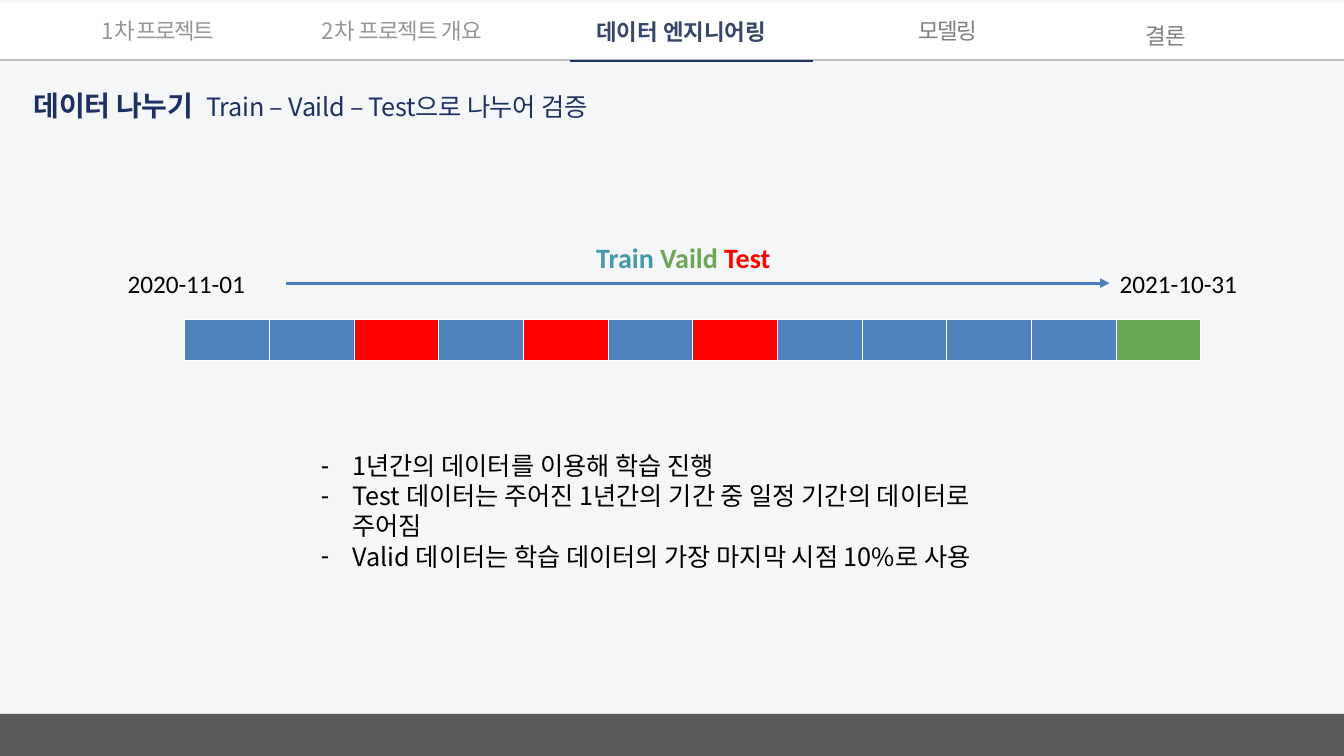
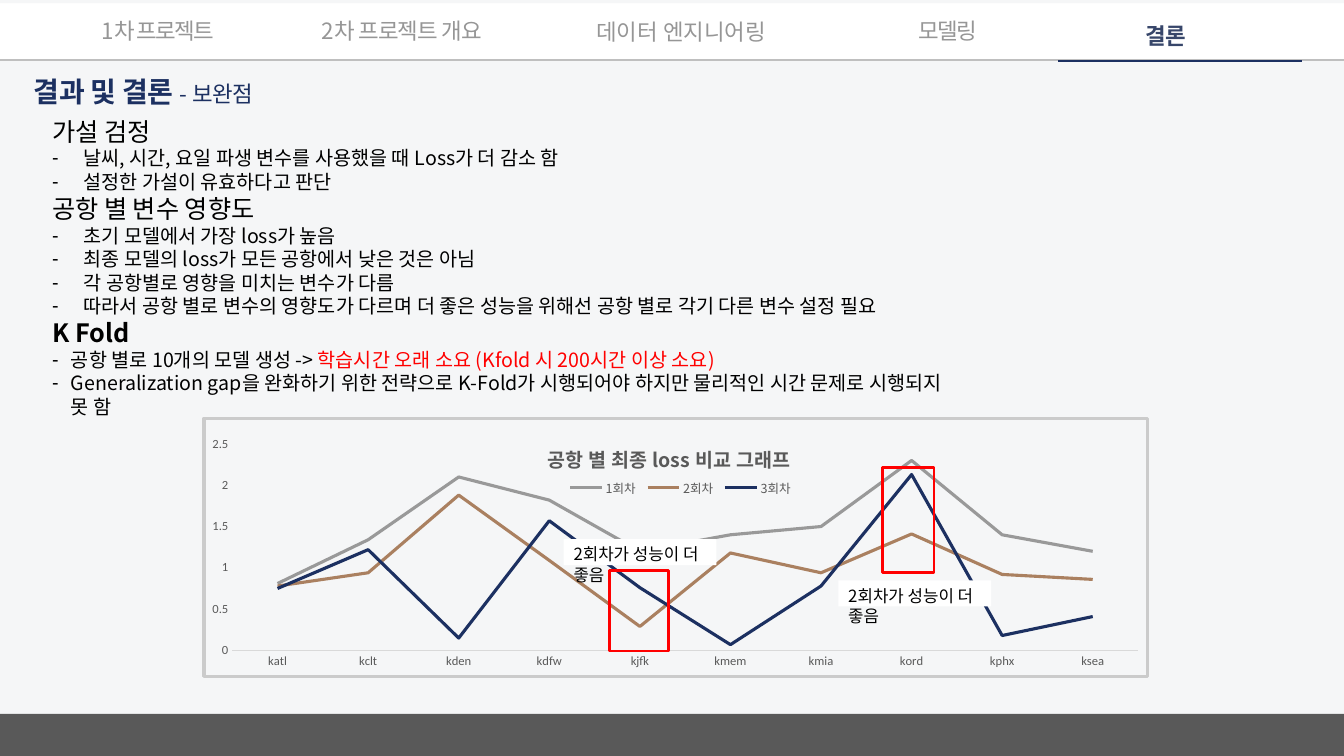
from dataclasses import dataclass

from lxml import etree
from pptx import Presentation
from pptx.chart.data import CategoryChartData
from pptx.dml.color import RGBColor
from pptx.enum.chart import XL_CHART_TYPE, XL_LEGEND_POSITION, XL_TICK_MARK
from pptx.enum.shapes import MSO_CONNECTOR, MSO_SHAPE
from pptx.enum.text import MSO_ANCHOR, MSO_AUTO_SIZE, PP_ALIGN
from pptx.oxml.ns import qn
from pptx.util import Inches, Pt

RECT = MSO_SHAPE.RECTANGLE
STRAIGHT = MSO_CONNECTOR.STRAIGHT
LINE = XL_CHART_TYPE.LINE
TOP = XL_LEGEND_POSITION.TOP
NO_TICK = XL_TICK_MARK.NONE
LEFT = PP_ALIGN.LEFT
UPPER = MSO_ANCHOR.TOP
FIXED = MSO_AUTO_SIZE.NONE

COLS, ROWS = 160, 90


@dataclass(frozen=True)
class Theme:
    sans: str = "Noto Sans CJK KR"
    latin: str = "Calibri"
    head: int = 20
    text: int = 18
    tab: int = 16
    item: int = 14
    note: int = 12
    tick: int = 9
    navy: str = "1C3061"
    active: str = "37466A"
    idle: str = "969696"
    later: str = "7F7F7F"
    pale: str = "F5F6F7"
    dark: str = "595959"
    rule: str = "BFBFBF"
    frame: str = "CBCBCB"
    axis: str = "D9D9D9"
    gray: str = "999999"
    brown: str = "AA8060"
    blue: str = "4F81BD"
    arrow: str = "4B7EBC"
    teal: str = "4597A9"
    green: str = "6CA755"
    red: str = "FF0000"
    white: str = "FFFFFF"
    black: str = "000000"


T = Theme()

# text, column, row, width, letter spacing
TABS = [
    ("1차 프로젝트", 12.1, 1.9, 15.2, -1.1),
    ("2차 프로젝트 개요", 38.3, 1.9, 21.7, -0.5),
    ("데이터 엔지니어링", 71, 2, 22.6, 0),
    ("모델링", 109.3, 1.9, 11.4, -0.8),
    ("결론", 136.4, 2.5, 11.4, -0.8),
]


@dataclass
class Para:
    """A paragraph; runs are (text, style) pairs, style holding what differs."""
    runs: list
    size: int = T.text
    color: str = T.black
    bold: bool = False
    name: str = T.sans
    spc: float = 0
    before: int = 0
    hang: float = 0


def rgb(code):
    return RGBColor.from_string(code)


def ink(font, size=None, color=None, bold=None, name=None, spc=None):
    if size:
        font.size = Pt(size)
    if color:
        font.color.rgb = rgb(color)
    if bold is not None:
        font.bold = bold
    if name:
        font.name = name
        etree.SubElement(font._rPr, qn("a:ea")).set("typeface", name)
    if spc:
        font._rPr.set("spc", str(round(spc * 100)))


def wide(cols):
    return Inches(cols / 12)


def write(frame, paras, flush=False):
    """Fill a text frame; flush drops its margins."""
    frame.word_wrap = True
    frame.auto_size = FIXED
    frame.vertical_anchor = UPPER
    if flush:
        frame.margin_left = frame.margin_right = frame.margin_bottom = 0
        frame.margin_top = Inches(0.01)
    for i, para in enumerate(paras):
        line = frame.add_paragraph() if i else frame.paragraphs[0]
        line.alignment = LEFT
        line.space_before = Pt(para.before)
        ink(line.font, para.size, para.color, para.bold, para.name, para.spc)
        props = line._p.get_or_add_pPr()
        props.set("marL", str(wide(para.hang)))
        props.set("indent", str(-wide(para.hang)))
        mark = etree.Element(qn("a:buChar" if para.hang else "a:buNone"))
        if para.hang:
            mark.set("char", "-")
        props.find(qn("a:defRPr")).addprevious(mark)
        for text, style in para.runs:
            run = line.add_run()
            run.text = text
            ink(run.font, **style)


def place(node, at, **spots):
    """Give a chart part a fixed layout as child number at."""
    for old in node.findall(qn("c:layout")):
        node.remove(old)
    layout = etree.Element(qn("c:layout"))
    manual = etree.SubElement(layout, qn("c:manualLayout"))
    for tag, val in spots.items():
        etree.SubElement(manual, qn("c:" + tag)).set("val", str(val))
    node.insert(at, layout)


class Deck:
    def __init__(self):
        self.prs = Presentation()
        self.prs.slide_width, self.prs.slide_height = Inches(13.33), Inches(7.5)
        self.layout = self.prs.slide_layouts[1]
        self.slide = None

    def area(self, x, y, w, h):
        across, down = self.prs.slide_width / COLS, self.prs.slide_height / ROWS
        return [round(v) for v in (x * across, y * down, w * across, h * down)]

    def bands(self):
        """Draw the shared bands and move them to the layout."""
        parts = [
            self.box(0, 0, COLS, 0.4, T.pale),
            self.box(0, 7.1, COLS, 77.9, T.pale),
            self.box(0, 85, COLS, 5, T.dark),
            self.box(0, 0.4, COLS, 6.7, T.white),
            self.line(0, 7.1, COLS, T.rule, 1.5),
        ]
        for i, part in enumerate(parts):
            part._element.xpath(".//p:cNvPr")[0].set("id", str(100 + i))
            self.layout.shapes._spTree.append(part._element)

    def page(self, tab, mark, row, title, body, spot):
        """Start a slide with the given active tab, its mark, title and body."""
        self.slide = self.prs.slides.add_slide(self.layout)
        if len(self.prs.slides) == 1:
            self.bands()
        head, main = self.slide.placeholders
        self.move(head, 4, row, 74.2, 4.2)
        write(head.text_frame,
              [Para(title, T.head, T.navy, None, spc=-0.2, before=1)], True)
        self.move(main, *spot)
        write(main.text_frame, body)
        self.line(mark, 7.25, 29, T.navy, 1.5)
        for i, (text, x, y, w, spc) in enumerate(TABS):
            color = T.active if i == tab else T.later if i > tab else T.idle
            para = Para([(text, {})], T.tab, color, i == tab, spc=spc, before=1)
            self.text(x, y, w, 3.4, para, True)

    def move(self, shape, *spot):
        shape.left, shape.top, shape.width, shape.height = self.area(*spot)

    def text(self, x, y, w, h, para, flush=False):
        box = self.slide.shapes.add_textbox(*self.area(x, y, w, h))
        write(box.text_frame, [para], flush)
        return box

    def box(self, x, y, w, h, fill=None, edge=None):
        box = self.slide.shapes.add_shape(RECT, *self.area(x, y, w, h))
        box.shadow.inherit = False
        if fill:
            box.fill.solid()
            box.fill.fore_color.rgb = rgb(fill)
        else:
            box.fill.background()
        if edge:
            box.line.color.rgb = rgb(edge)
            box.line.width = Pt(2)
        else:
            box.line.fill.background()
        return box

    def line(self, x, y, w, color, width):
        x, y, w, _ = self.area(x, y, w, 0)
        line = self.slide.shapes.add_connector(STRAIGHT, x, y, x + w, y)
        line.line.color.rgb = rgb(color)
        line.line.width = Pt(width)
        etree.SubElement(line._element.spPr, qn("a:effectLst"))
        return line

    def arrow(self, start, end):
        """Join the right side of start to the left side of end."""
        line = self.line(0, 0, 1, T.arrow, 2.25)
        line.begin_connect(start, 3)
        line.end_connect(end, 1)
        stroke = line._element.spPr.find(qn("a:ln"))
        etree.SubElement(stroke, qn("a:tailEnd")).set("type", "triangle")

    def strip(self, x, y, w, h, fills):
        """Draw a table of one row of coloured cells."""
        spot = self.area(x, y, w, h)
        table = self.slide.shapes.add_table(1, len(fills), *spot).table
        table.horz_banding = False
        for cell, fill in zip(table.iter_cells(), fills):
            cell.fill.solid()
            cell.fill.fore_color.rgb = rgb(fill)

    def chart(self, x, y, w, h, title, cats, rows):
        data = CategoryChartData()
        data.categories = cats
        for name, _, vals in rows:
            data.add_series(name, vals)
        spot = self.area(x, y, w, h)
        chart = self.slide.shapes.add_chart(LINE, *spot, data).chart
        ink(chart.font, 10, T.black, name=T.latin)
        plot = chart.plots[0]
        plot.vary_by_categories = False
        for series, (_, color, _) in zip(plot.series, rows):
            series.smooth = False
            series.format.line.color.rgb = rgb(color)
            series.format.line.width = Pt(2.25)
        for axis in (chart.category_axis, chart.value_axis):
            axis.major_tick_mark = axis.minor_tick_mark = NO_TICK
            axis.has_major_gridlines = False
            ink(axis.tick_labels.font, T.tick, T.dark, name=T.latin)
        chart.category_axis.format.line.color.rgb = rgb(T.axis)
        scale = chart.value_axis
        scale.minimum_scale, scale.maximum_scale = 0, 2.5
        scale.major_unit = 0.5
        scale.format.line.fill.background()
        head = chart.chart_title
        write(head.text_frame, [Para([(title, {})], T.item, T.dark, True)])
        place(head._element, 1, xMode="edge", yMode="edge", x=0.36, y=0.08)
        chart.has_legend = True
        legend = chart.legend
        legend.position = TOP
        legend.include_in_layout = False
        ink(legend.font, T.tick, T.dark, name=T.sans)
        place(legend._element, 1, xMode="edge", yMode="edge",
              x=0.38, y=0.23, w=0.25, h=0.08)
        root = chart._chartSpace
        place(root.chart.plotArea, 0, layoutTarget="inner", xMode="edge",
              yMode="edge", x=0.03, y=0.1, w=0.96, h=0.8)
        props = etree.Element(qn("c:spPr"))
        etree.SubElement(props, qn("a:noFill"))
        edge = etree.SubElement(props, qn("a:ln"), w=str(Pt(2.25)))
        fill = etree.SubElement(edge, qn("a:solidFill"))
        etree.SubElement(fill, qn("a:srgbClr"), val=T.frame)
        root.chart.addnext(props)


def item(text, size=T.item, hang=3.75):
    return Para([(text, {})], size, hang=hang)


def split(deck):
    title = [
        ("데이터 나누기", {"bold": True}),
        (" ", {"spc": 5}),
        ("Train – Vaild – Test으로 나누어 검증", {"size": T.text}),
    ]
    body = [item(text, T.text) for text in (
        "1년간의 데이터를 이용해 학습 진행",
        "Test 데이터는 주어진 1년간의 기간 중 일정 기간의 데이터로 주어짐",
        "Valid 데이터는 학습 데이터의 가장 마지막 시점 10%로 사용",
    )]
    deck.page(2, 67.8, 10.4, title, body, (37, 53, 86, 12.1))
    tests = (2, 4, 6)
    fills = [T.red if i in tests else T.blue for i in range(11)] + [T.green]
    deck.strip(22, 38, 121, 4.9, fills)
    start, end = [
        deck.text(x, 31.3, 20, 4.8, Para([(day, {})], name=T.latin))
        for x, day in ((14, "2020-11-01"), (132.1, "2021-10-31"))
    ]
    deck.arrow(start, end)
    key = [("Train ", {"color": T.teal}), ("Vaild ", {"color": T.green}),
           ("Test", {"color": T.red})]
    deck.text(69.8, 28, 25, 5.3, Para(key, T.head, bold=True, name=T.latin))


def close(deck):
    title = [("결과 및 결론 ", {"bold": True}), ("- 보완점", {"size": T.tab})]
    slow = [("공항 별로 10개의 모델 생성 -> ", {}),
            ("학습시간 오래 소요 (Kfold 시 200시간 이상 소요)", {"color": T.red})]
    body = [
        Para([("가설 검정", {})]),
        item("날씨, 시간, 요일 파생 변수를 사용했을 때 Loss가 더 감소 함"),
        item("설정한 가설이 유효하다고 판단"),
        Para([("공항 별 변수 영향도", {})]),
        item("초기 모델에서 가장 loss가 높음"),
        item("최종 모델의 loss가 모든 공항에서 낮은 것은 아님"),
        item("각 공항별로 영향을 미치는 변수가 다름"),
        item("따라서 공항 별로 변수의 영향도가 다르며 더 좋은 성능을 위해선 "
             "공항 별로 각기 다른 변수 설정 필요"),
        Para([("K Fold", {})], bold=True),
        Para(slow, T.item, hang=2.25),
        item("Generalization gap을 완화하기 위한 전략으로 K-Fold가 시행되어야 "
             "하지만 물리적인 시간 문제로 시행되지 못 함", hang=2.25),
    ]
    deck.page(4, 126, 8.8, title, body, (5, 13.2, 110.9, 34.7))
    cats = "katl kclt kden kdfw kjfk kmem kmia kord kphx ksea".split()
    deck.chart(24.1, 49.6, 112.7, 31.1, "공항 별 최종 loss 비교 그래프", cats, [
        ("1회차", T.gray, (0.81, 1.34, 2.1, 1.82, 1.2, 1.4, 1.5, 2.3, 1.4, 1.2)),
        ("2회차", T.brown,
         (0.78, 0.94, 1.88, 1.09, 0.29, 1.18, 0.94, 1.41, 0.92, 0.86)),
        ("3회차", T.navy,
         (0.75, 1.22, 0.15, 1.57, 0.76, 0.07, 0.78, 2.13, 0.18, 0.41)),
    ])
    for spot in ((105.1, 55.7, 6.1, 12.5), (72.6, 67.9, 7, 9.6)):
        deck.box(*spot, edge=T.red)
    for x, y in ((99.8, 69.1), (67.1, 64.2)):
        note = deck.box(x, y, 18.2, 3.1, T.white)
        write(note.text_frame, [item("2회차가 성능이 더 좋음", T.note, 0)])


def main():
    deck = Deck()
    split(deck)
    close(deck)
    deck.prs.save("out.pptx")


if __name__ == "__main__":
    main()
